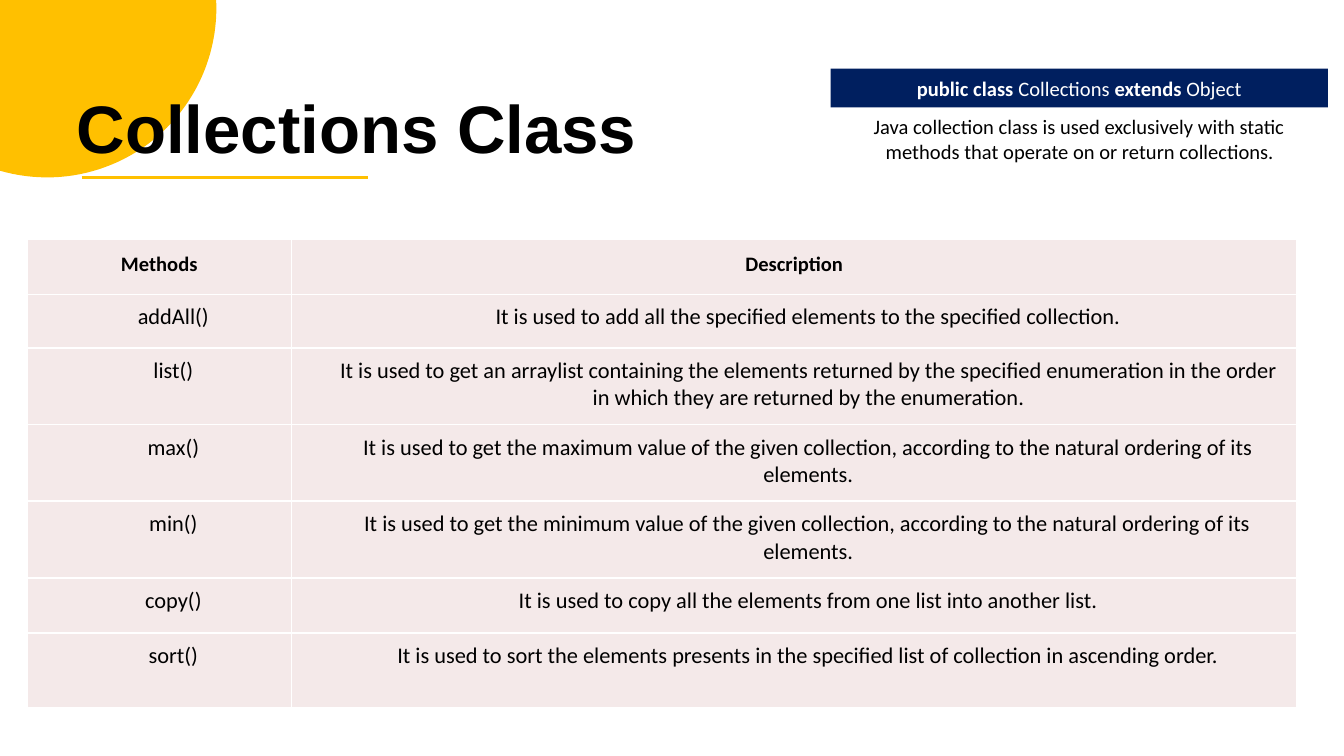
from dataclasses import dataclass
from math import acos, asin, cos, pi, sin

from lxml import etree
from pptx import Presentation
from pptx.dml.color import RGBColor
from pptx.enum.shapes import MSO_CONNECTOR, MSO_SHAPE
from pptx.enum.text import MSO_ANCHOR, MSO_AUTO_SIZE, PP_ALIGN
from pptx.oxml.ns import qn
from pptx.util import Inches, Pt

STRAIGHT = MSO_CONNECTOR.STRAIGHT
RECTANGLE = MSO_SHAPE.RECTANGLE
CENTER = PP_ALIGN.CENTER
LEFT = PP_ALIGN.LEFT
MIDDLE = MSO_ANCHOR.MIDDLE
TOP = MSO_ANCHOR.TOP
NO_FIT = MSO_AUTO_SIZE.NONE


@dataclass(frozen=True)
class Theme:
    accent: str = "FFC000"
    navy: str = "001F5F"
    cell: str = "F4E9E9"
    white: str = "FFFFFF"
    black: str = "000000"
    heading_font: str = "Arial"
    body_font: str = "Calibri"
    title_size: int = 36
    label_size: int = 11
    table_size: int = 12


THEME = Theme()
COLUMN_WIDTHS = [1.97, 7.48]
ROW_HEIGHTS = [0.41, 0.4, 0.57, 0.57, 0.57, 0.41, 0.56]
ROWS = [
    ("Methods", "Description"),
    ("addAll()", "It is used to add all the specified elements to the specified collection."),
    ("list()", "It is used to get an arraylist containing the elements returned by the "
               "specified enumeration in the order in which they are returned by the enumeration."),
    ("max()", "It is used to get the maximum value of the given collection, according to "
              "the natural ordering of its\nelements."),
    ("min()", "It is used to get the minimum value of the given collection, according to "
              "the natural ordering of its elements."),
    ("copy()", "It is used to copy all the elements from one list into another list."),
    ("sort()", "It is used to sort the elements presents in the specified list of collection "
               "in ascending order."),
]
HANGING_ROWS = {2: (2.24, -1.88), 4: (3.51, -2.97)}


def color(code):
    return RGBColor.from_string(code)


def fill_shape(shape, code):
    shape.shadow.inherit = False
    shape.fill.solid()
    shape.fill.fore_color.rgb = color(code)
    shape.line.fill.background()


def format_span(span, size, code, bold=False, font=THEME.body_font):
    span.font.name = font
    span.font.size = Pt(size)
    span.font.bold = bold
    span.font.color.rgb = color(code)


def hang(para, margin, indent):
    para.alignment = LEFT
    properties = para._p.get_or_add_pPr()
    properties.set("marL", str(Inches(margin)))
    properties.set("indent", str(Inches(indent)))


def prepare_frame(frame, anchor):
    frame.margin_left = frame.margin_right = frame.margin_bottom = 0
    frame.margin_top = Inches(0.01)
    frame.word_wrap = True
    frame.auto_size = NO_FIT
    frame.vertical_anchor = anchor


def add_corner_disc(page, center_x, center_y, radius, steps=48):
    start = asin(-center_y / radius)
    end = pi - acos(center_x / radius)
    angles = [start + (end - start) * step / steps for step in range(steps + 1)]
    arc = [(Inches(center_x + radius * cos(angle)), Inches(center_y + radius * sin(angle)))
           for angle in angles]
    builder = page.shapes.build_freeform(0, 0)
    builder.add_line_segments(arc, close=True)
    disc = builder.convert_to_shape()
    fill_shape(disc, THEME.accent)
    return disc


def set_title(page, text):
    title = page.shapes.title
    title.left, title.top = Inches(0.57), Inches(0.63)
    title.width, title.height = Inches(4.3), Inches(0.63)
    frame = title.text_frame
    frame.text = text
    prepare_frame(frame, TOP)
    para = frame.paragraphs[0]
    para.alignment = LEFT
    para.line_spacing = 1.0
    format_span(para.runs[0], THEME.title_size, THEME.black, True, THEME.heading_font)
    return title


def add_underline(page, left, right, top):
    line = page.shapes.add_connector(STRAIGHT, Inches(left), Inches(top), Inches(right), Inches(top))
    line.line.color.rgb = color(THEME.accent)
    line.line.width = Pt(1.5)
    etree.SubElement(line.element.spPr, qn("a:effectLst"))


def add_banner(page, spans):
    banner = page.shapes.add_shape(RECTANGLE, Inches(6.18), Inches(0.51), Inches(3.7), Inches(0.29))
    fill_shape(banner, THEME.navy)
    frame = banner.text_frame
    prepare_frame(frame, MIDDLE)
    frame.margin_top = 0
    para = frame.paragraphs[0]
    para.alignment = CENTER
    for text, bold in spans:
        span = para.add_run()
        span.text = text
        format_span(span, THEME.label_size, THEME.white, bold)


def add_summary(page, text):
    box = page.shapes.add_textbox(Inches(6.49), Inches(0.84), Inches(3.09), Inches(0.4))
    frame = box.text_frame
    prepare_frame(frame, TOP)
    frame.text = text
    para = frame.paragraphs[0]
    hang(para, 0.1, -0.09)
    format_span(para.runs[0], THEME.label_size, THEME.black)


def set_borders(cell):
    properties = cell._tc.get_or_add_tcPr()
    for position, side in enumerate(("a:lnL", "a:lnR", "a:lnT", "a:lnB")):
        border = etree.Element(qn(side), w=str(Pt(1)))
        solid = etree.SubElement(border, qn("a:solidFill"))
        etree.SubElement(solid, qn("a:srgbClr"), val=THEME.white)
        properties.insert(position, border)


def format_cell(cell, text, header, hanging):
    cell.text = text
    cell.fill.solid()
    cell.fill.fore_color.rgb = color(THEME.cell)
    cell.margin_left = 0 if header or hanging else Inches(0.21)
    cell.margin_right = Inches(0.1) if hanging else 0
    cell.margin_bottom = 0
    cell.margin_top = Inches(0.09 if header else 0.07)
    cell.vertical_anchor = TOP
    for para in cell.text_frame.paragraphs:
        para.alignment = CENTER
        if hanging:
            hang(para, *hanging)
        for span in para.runs:
            format_span(span, THEME.label_size if header else THEME.table_size, THEME.black, header)
    set_borders(cell)


def add_method_table(page):
    frame = page.shapes.add_table(
        len(ROWS), len(COLUMN_WIDTHS), Inches(0.2), Inches(1.78),
        Inches(sum(COLUMN_WIDTHS)), Inches(sum(ROW_HEIGHTS)))
    table = frame.table
    table.horz_banding = False
    for column, width in zip(table.columns, COLUMN_WIDTHS):
        column.width = Inches(width)
    for index, (row, height) in enumerate(zip(table.rows, ROW_HEIGHTS)):
        row.height = Inches(height)
        method, description = row.cells
        format_cell(method, ROWS[index][0], index == 0, None)
        format_cell(description, ROWS[index][1], index == 0, HANGING_ROWS.get(index))


def main():
    deck = Presentation()
    deck.slide_width = Inches(10)
    deck.slide_height = deck.slide_width * 9 // 16
    page = deck.slides.add_slide(deck.slide_layouts[5])
    title = set_title(page, "Collections Class")
    disc = add_corner_disc(page, 0.35, 0.06, 1.26)
    title.element.addprevious(disc.element)
    add_banner(page, [("public class ", True), ("Collections ", False),
                      ("extends ", True), ("Object", False)])
    add_summary(page, "Java collection class is used exclusively with static "
                      "methods that operate on or return collections.")
    add_method_table(page)
    add_underline(page, 0.61, 2.74, 1.32)
    deck.save("out.pptx")


if __name__ == "__main__":
    main()
